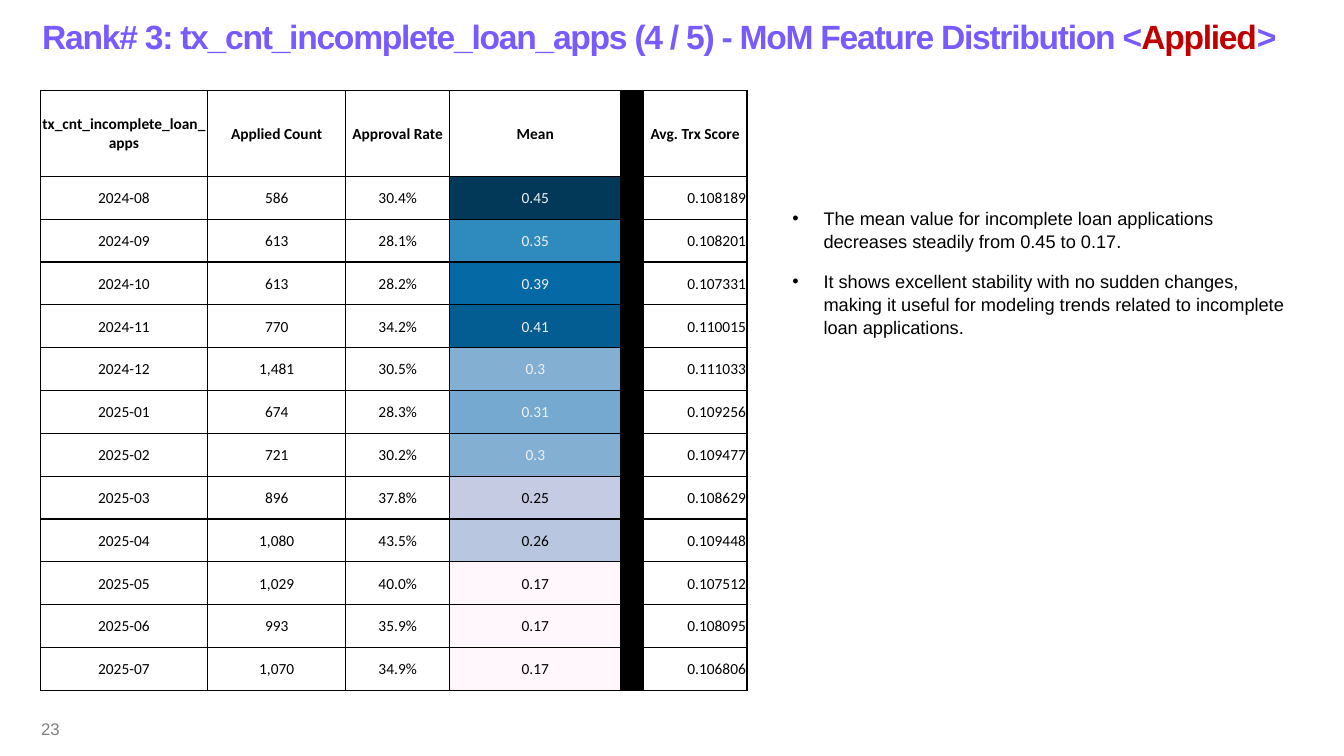
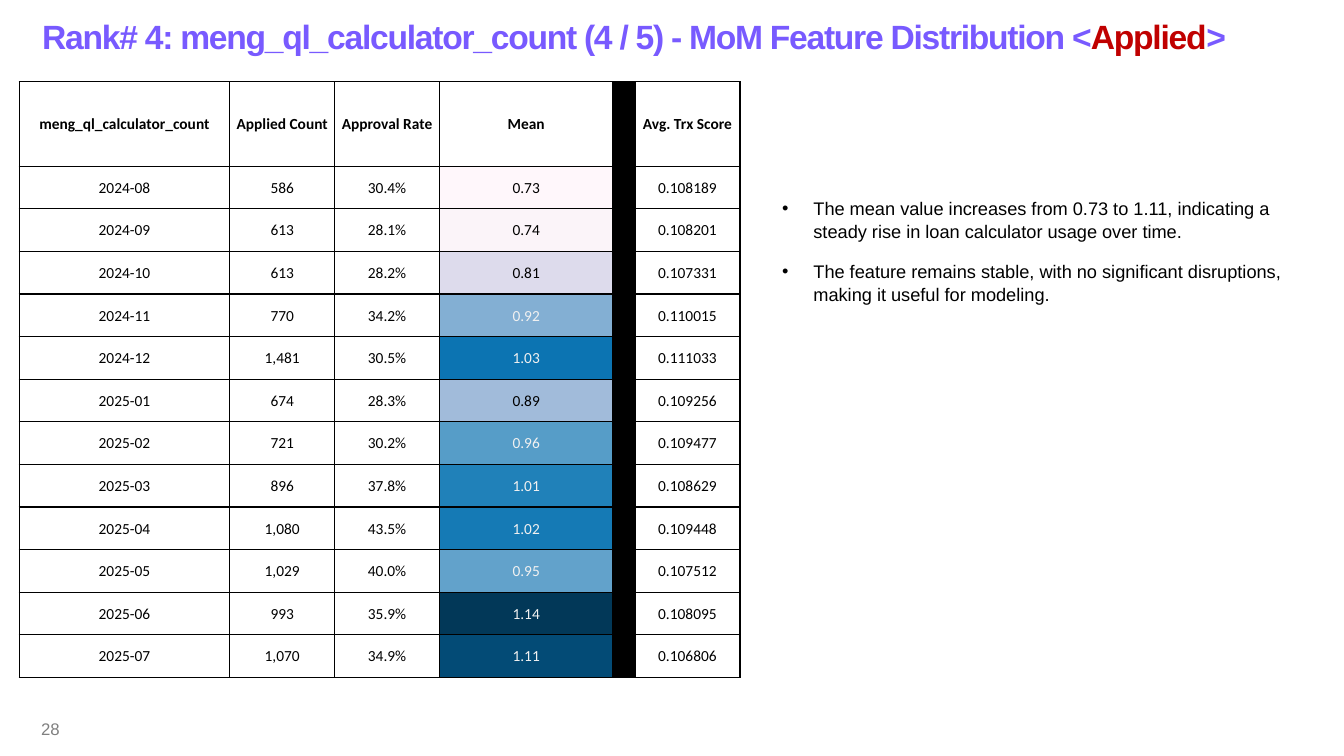
from lxml.etree import SubElement
from pptx import Presentation
from pptx.dml.color import RGBColor
from pptx.enum.text import MSO_ANCHOR, MSO_AUTO_SIZE, PP_ALIGN
from pptx.oxml.ns import qn
from pptx.util import Inches, Pt

COLORS = {
    "title": "785AFF",
    "accent": "C00000",
    "footer": "808080",
    "ink": "000000",
    "light_ink": "F1F1F1",
    "paper": "FFFFFF",
}
LIGHT_INK_BELOW = 175
MEAN_COLUMN, DIVIDER_COLUMN, SCORE_COLUMN = 3, 4, 5

HEADINGS = ("Applied Count", "Approval Rate", "Mean", "", "Avg. Trx Score")
MONTHS = (
    ("2024-08", "586", "30.4%", "0.108189"),
    ("2024-09", "613", "28.1%", "0.108201"),
    ("2024-10", "613", "28.2%", "0.107331"),
    ("2024-11", "770", "34.2%", "0.110015"),
    ("2024-12", "1,481", "30.5%", "0.111033"),
    ("2025-01", "674", "28.3%", "0.109256"),
    ("2025-02", "721", "30.2%", "0.109477"),
    ("2025-03", "896", "37.8%", "0.108629"),
    ("2025-04", "1,080", "43.5%", "0.109448"),
    ("2025-05", "1,029", "40.0%", "0.107512"),
    ("2025-06", "993", "35.9%", "0.108095"),
    ("2025-07", "1,070", "34.9%", "0.106806"),
)
FEATURES = (
    {
        "rank": 3,
        "name": "tx_cnt_incomplete_loan_apps",
        "page": "23",
        "means": (
            ("0.45", "023858"), ("0.35", "2F8BBE"), ("0.39", "0569A5"),
            ("0.41", "045D92"), ("0.3", "83AFD3"), ("0.31", "75A9CF"),
            ("0.3", "83AFD3"), ("0.25", "C4CBE3"), ("0.26", "B8C6E0"),
            ("0.17", "FFF7FB"), ("0.17", "FFF7FB"), ("0.17", "FFF7FB"),
        ),
        "findings": (
            "The mean value for incomplete loan applications decreases steadily from 0.45 to 0.17.",
            "It shows excellent stability with no sudden changes, making it useful for modeling "
            "trends related to incomplete loan applications.",
        ),
        "findings_box": (7.76, 2, 5.17, 1.36),
        "table_corner": (0.4, 0.9),
        "columns": (1.66, 1.37, 1.03, 1.7, 0.22, 1.03),
        "header_height": 0.85,
        "table_height": 5.95,
        "score_alignment": PP_ALIGN.RIGHT,
    },
    {
        "rank": 4,
        "name": "meng_ql_calculator_count",
        "page": "28",
        "means": (
            ("0.73", "FFF7FB"), ("0.74", "FBF4F9"), ("0.81", "DDDBEC"),
            ("0.92", "83AFD3"), ("1.03", "0C74B2"), ("0.89", "A1BBDA"),
            ("0.96", "569DC8"), ("1.01", "2081B9"), ("1.02", "157AB5"),
            ("0.95", "62A2CB"), ("1.14", "023858"), ("1.11", "034B76"),
        ),
        "findings": (
            "The mean value increases from 0.73 to 1.11, indicating a steady rise in loan "
            "calculator usage over time.",
            "The feature remains stable, with no significant disruptions, making it useful "
            "for modeling.",
        ),
        "findings_box": (7.66, 1.9, 5.17, 1.14),
        "table_corner": (0.19, 0.81),
        "columns": (2.09, 1.04, 1.04, 1.72, 0.22, 1.04),
        "header_height": 0.84,
        "table_height": 5.91,
        "score_alignment": PP_ALIGN.CENTER,
    },
)


def add_run(paragraph, text, size, color, bold=False, name="Arial"):
    run = paragraph.add_run()
    run.text = text
    run.font.name = name
    run.font.size = Pt(size)
    run.font.bold = bold
    run.font.color.rgb = RGBColor.from_string(color)
    return run


def add_text_frame(slide, box, anchor=MSO_ANCHOR.MIDDLE):
    frame = slide.shapes.add_textbox(*map(Inches, box)).text_frame
    frame.word_wrap = True
    frame.vertical_anchor = anchor
    return frame


def add_title(slide, feature):
    paragraph = add_text_frame(slide, (0.32, 0, 12.92, 0.72)).paragraphs[0]
    opening = f"Rank# {feature['rank']}: {feature['name']} (4 / 5) - MoM Feature Distribution <"
    for text, color in ((opening, "title"), ("Applied", "accent"), (">", "title")):
        run = add_run(paragraph, text, 24, COLORS[color], bold=True)
        run.font._element.set("spc", "-90")


def add_page_number(slide, page):
    paragraph = add_text_frame(slide, (0.31, 7.03, 3, 0.4)).paragraphs[0]
    add_run(paragraph, page, 12, COLORS["footer"])


def add_findings(slide, feature):
    frame = add_text_frame(slide, feature["findings_box"], MSO_ANCHOR.TOP)
    frame.auto_size = MSO_AUTO_SIZE.SHAPE_TO_FIT_TEXT
    for index, finding in enumerate(feature["findings"]):
        paragraph = frame.add_paragraph() if index else frame.paragraphs[0]
        properties = paragraph._p.get_or_add_pPr()
        properties.set("marL", str(Inches(0.31)))
        properties.set("indent", str(-Inches(0.31)))
        SubElement(properties, qn("a:buFont"), typeface="Arial")
        SubElement(properties, qn("a:buChar"), char="•")
        paragraph.line_spacing = 1.05
        paragraph.space_after = Pt(12)
        add_run(paragraph, finding, 13, COLORS["ink"])


def add_borders(cell):
    properties = cell._tc.get_or_add_tcPr()
    for index, side in enumerate(("lnL", "lnR", "lnT", "lnB")):
        line = SubElement(properties, qn(f"a:{side}"), w=str(Pt(1)))
        fill = SubElement(line, qn("a:solidFill"))
        SubElement(fill, qn("a:srgbClr"), val=COLORS["ink"])
        properties.insert(index, line)


def ink_on(fill):
    red, green, blue = RGBColor.from_string(fill)
    brightness = 0.299 * red + 0.587 * green + 0.114 * blue
    return COLORS["light_ink" if brightness < LIGHT_INK_BELOW else "ink"]


def fill_cell(cell, text, fill, alignment, bold):
    cell.fill.solid()
    cell.fill.fore_color.rgb = RGBColor.from_string(fill)
    add_borders(cell)
    cell.vertical_anchor = MSO_ANCHOR.MIDDLE
    cell.margin_left = cell.margin_right = cell.margin_top = Inches(0.01)
    cell.margin_bottom = 0
    paragraph = cell.text_frame.paragraphs[0]
    paragraph.alignment = alignment
    if text:
        add_run(paragraph, text, 11, ink_on(fill), bold, "Calibri")


def add_feature_table(slide, feature):
    rows = [(feature["name"], *HEADINGS)]
    for (month, count, rate, score), (mean, _) in zip(MONTHS, feature["means"]):
        rows.append((month, count, rate, mean, "", score))
    columns = feature["columns"]
    box = (*feature["table_corner"], sum(columns), feature["table_height"])
    table = slide.shapes.add_table(len(rows), len(columns), *map(Inches, box)).table
    table.first_row = table.horz_banding = False
    for column, width in zip(table.columns, columns):
        column.width = Inches(width)
    month_height = (feature["table_height"] - feature["header_height"]) / len(MONTHS)
    for row_index, values in enumerate(rows):
        is_header = row_index == 0
        table.rows[row_index].height = Inches(feature["header_height"] if is_header else month_height)
        for column_index, text in enumerate(values):
            fill, alignment = COLORS["paper"], PP_ALIGN.CENTER
            if column_index == DIVIDER_COLUMN:
                fill = COLORS["ink"]
            elif column_index == MEAN_COLUMN and not is_header:
                fill = feature["means"][row_index - 1][1]
            elif column_index == SCORE_COLUMN and not is_header:
                alignment = feature["score_alignment"]
            fill_cell(table.cell(row_index, column_index), text, fill, alignment, is_header)


def main():
    presentation = Presentation()
    presentation.slide_width = Inches(13.33)
    presentation.slide_height = Inches(7.5)
    for feature in FEATURES:
        slide = presentation.slides.add_slide(presentation.slide_layouts[6])
        add_title(slide, feature)
        add_page_number(slide, feature["page"])
        add_findings(slide, feature)
        add_feature_table(slide, feature)
    presentation.save("out.pptx")


if __name__ == "__main__":
    main()
